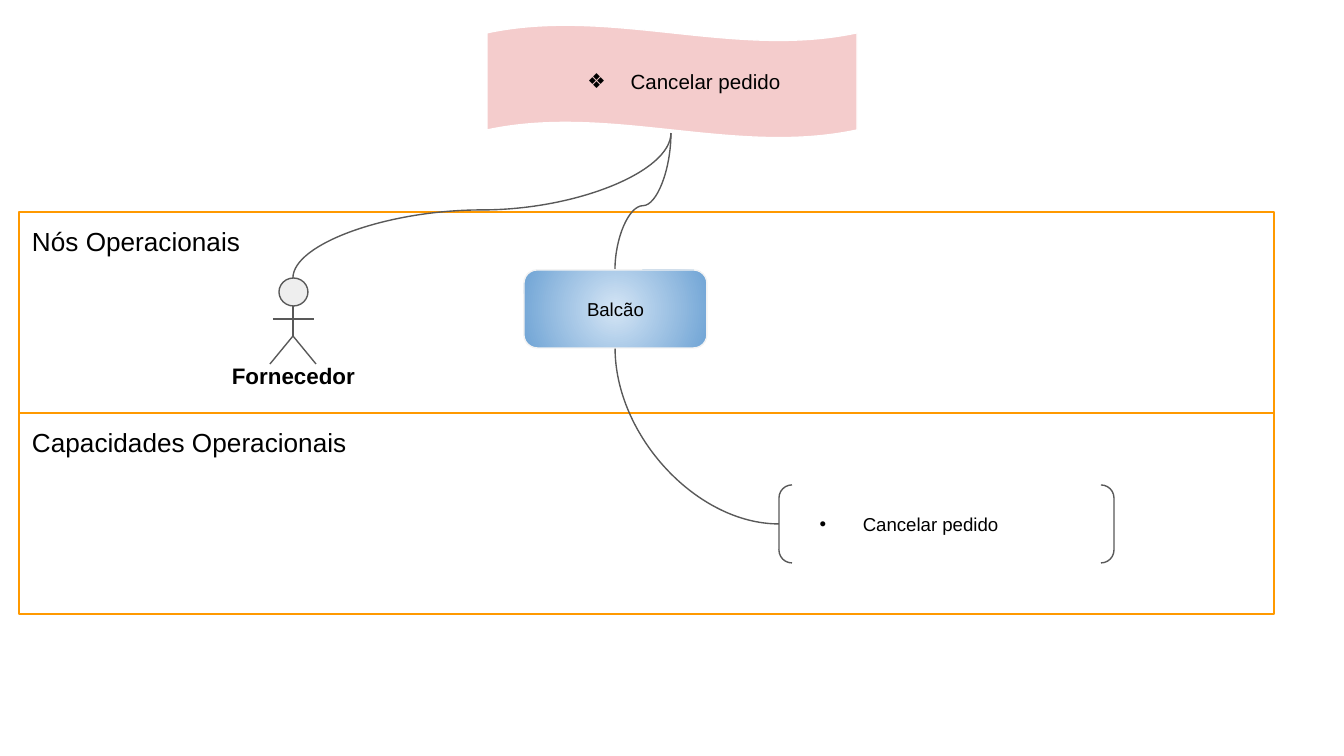
import pptx
import pptx.util
import pptx.dml.color
import pptx.enum.shapes
import pptx.enum.text
import pptx.oxml
import pptx.oxml.ns
import lxml.etree

COLORS = {"ink": "000000", "outline": "595959", "lane": "FF9900", "banner": "F4CCCC",
          "white": "FFFFFF", "head": "EEEEEE", "node_edge": "F3F3F3",
          "node_center": "D4E5F5", "node_rim": "70A4D5"}
SHAPE = pptx.enum.shapes.MSO_SHAPE
CONNECTOR = pptx.enum.shapes.MSO_CONNECTOR
ALIGN = pptx.enum.text.PP_ALIGN
ANCHOR = pptx.enum.text.MSO_ANCHOR
qn = pptx.oxml.ns.qn


def px(length):
    return pptx.util.Emu(round(length * 914400 / 134.4))


def rgb(name):
    return pptx.dml.color.RGBColor.from_string(COLORS[name])


class Diagram:
    font = "Arial"
    line_width = pptx.util.Pt(0.75)
    inset = px(13)

    def __init__(self, slide):
        self.slide = slide
        self.shapes = slide.shapes

    def start_group(self):
        self.shapes = self.slide.shapes.add_group_shape().shapes

    def end_group(self):
        self.shapes = self.slide.shapes

    def shape(self, kind, box, line="outline", fill=None, adjust=()):
        shape = self.shapes.add_shape(kind, *map(px, box))
        shape.shadow.inherit = False
        for index, value in enumerate(adjust):
            shape.adjustments[index] = value
        shape.line.color.rgb = rgb(line)
        shape.line.width = self.line_width
        if fill:
            shape.fill.solid()
            shape.fill.fore_color.rgb = rgb(fill)
        else:
            shape.fill.background()
        return shape

    def radial_fill(self, shape, center, rim):
        shape.fill.gradient()
        for stop, color in zip(shape.fill.gradient_stops, (center, rim)):
            stop.color.rgb = rgb(color)
        gradient = shape.element.spPr.find(qn("a:gradFill"))
        gradient.remove(gradient.find(qn("a:lin")))
        circle = lxml.etree.SubElement(gradient, qn("a:path"), path="circle")
        lxml.etree.SubElement(circle, qn("a:fillToRect"), l="50000", t="50000", r="50000", b="50000")

    def text(self, shape, words, size, align=ALIGN.LEFT, anchor=ANCHOR.MIDDLE, bold=False, bullet=None):
        frame = shape.text_frame
        frame.word_wrap = True
        frame.vertical_anchor = anchor
        frame.margin_left = frame.margin_right = self.inset
        frame.margin_top = frame.margin_bottom = self.inset
        paragraph = frame.paragraphs[0]
        paragraph.alignment = align
        run = paragraph.add_run()
        run.text = words
        run.font.name = self.font
        run.font.size = pptx.util.Pt(size)
        run.font.bold = bold
        run.font.color.rgb = rgb("ink")
        if bullet:
            properties = paragraph._p.get_or_add_pPr()
            properties.set("marL", str(px(67)))
            properties.set("indent", str(-px(43)))
            color = lxml.etree.SubElement(properties, qn("a:buClr"))
            lxml.etree.SubElement(color, qn("a:srgbClr"), val=COLORS["ink"])
            lxml.etree.SubElement(properties, qn("a:buFont"), typeface=self.font)
            lxml.etree.SubElement(properties, qn("a:buChar"), char=bullet)

    def label(self, box, words, size, **style):
        self.text(self.shapes.add_textbox(*map(px, box)), words, size, **style)

    def line(self, start, end, kind=CONNECTOR.STRAIGHT):
        connector = self.shapes.add_connector(kind, *map(px, (*start, *end)))
        connector.line.color.rgb = rgb("outline")
        connector.line.width = self.line_width
        lxml.etree.SubElement(connector.element.spPr, qn("a:effectLst"))
        return connector

    def curve(self, start, end, bend=None):
        (x1, y1), (x2, y2) = start, end
        center_x, center_y = (x1 + x2) / 2, (y1 + y2) / 2
        half_x, half_y = (y1 - y2) / 2, (x2 - x1) / 2
        connector = self.line((center_x - half_x, center_y - half_y),
                              (center_x + half_x, center_y + half_y), CONNECTOR.CURVE)
        properties = connector.element.spPr
        properties.find(qn("a:xfrm")).set("rot", str(270 * 60000))
        geometry = properties.find(qn("a:prstGeom"))
        if bend is None:
            geometry.set("prst", "curvedConnector2")
        else:
            guides = geometry.find(qn("a:avLst"))
            lxml.etree.SubElement(guides, qn("a:gd"), name="adj1", fmla=f"val {round(bend * 100000)}")


presentation = pptx.Presentation()
presentation.slide_width, presentation.slide_height = px(1344), px(756)
diagram = Diagram(presentation.slides.add_slide(presentation.slide_layouts[6]))

LANE_TOP, LANE_HEIGHT = 212, 201
BANNER_END = (671, 133)
COUNTER_TOP, COUNTER_BOTTOM = (615, 270), (615, 348)
NECK, HIP = (293, 306), (293, 336)


def lane(row, title):
    box = diagram.shape(SHAPE.RECTANGLE, (19, LANE_TOP + row * LANE_HEIGHT, 1255, LANE_HEIGHT), "lane")
    diagram.text(box, title, 14, anchor=ANCHOR.TOP)


lane(0, "Nós Operacionais")

banner = diagram.shape(SHAPE.WAVE, (487, 25, 370, 113), "white", "banner", (0.07, 0))
diagram.text(banner, "Cancelar pedido", 11, ALIGN.CENTER, bullet="❖")

diagram.start_group()
diagram.shape(SHAPE.FLOWCHART_CONNECTOR, (279, 278, 29, 28), fill="head")
for start, end in ((NECK, HIP), ((273, 319), (314, 319)), (HIP, (270, 364)), ((316, 364), HIP)):
    diagram.line(start, end)
diagram.label((218, 349, 151, 51), "Fornecedor", 12, align=ALIGN.CENTER, anchor=ANCHOR.TOP, bold=True)
diagram.end_group()

diagram.curve(COUNTER_TOP, BANNER_END, 0.47)
lane(1, "Capacidades Operacionais")
diagram.curve((293, 278), BANNER_END, 0.47)
diagram.curve(COUNTER_BOTTOM, (779, 524))

capability = diagram.shape(SHAPE.DOUBLE_BRACKET, (779, 485, 335, 78))
diagram.text(capability, "Cancelar pedido", 10, bullet="•")

counter = diagram.shape(SHAPE.ROUNDED_RECTANGLE, (524, 270, 183, 78), "node_edge", adjust=(0.17,))
diagram.radial_fill(counter, "node_center", "node_rim")
diagram.text(counter, "Balcão", 10, ALIGN.CENTER)

presentation.save("out.pptx")
